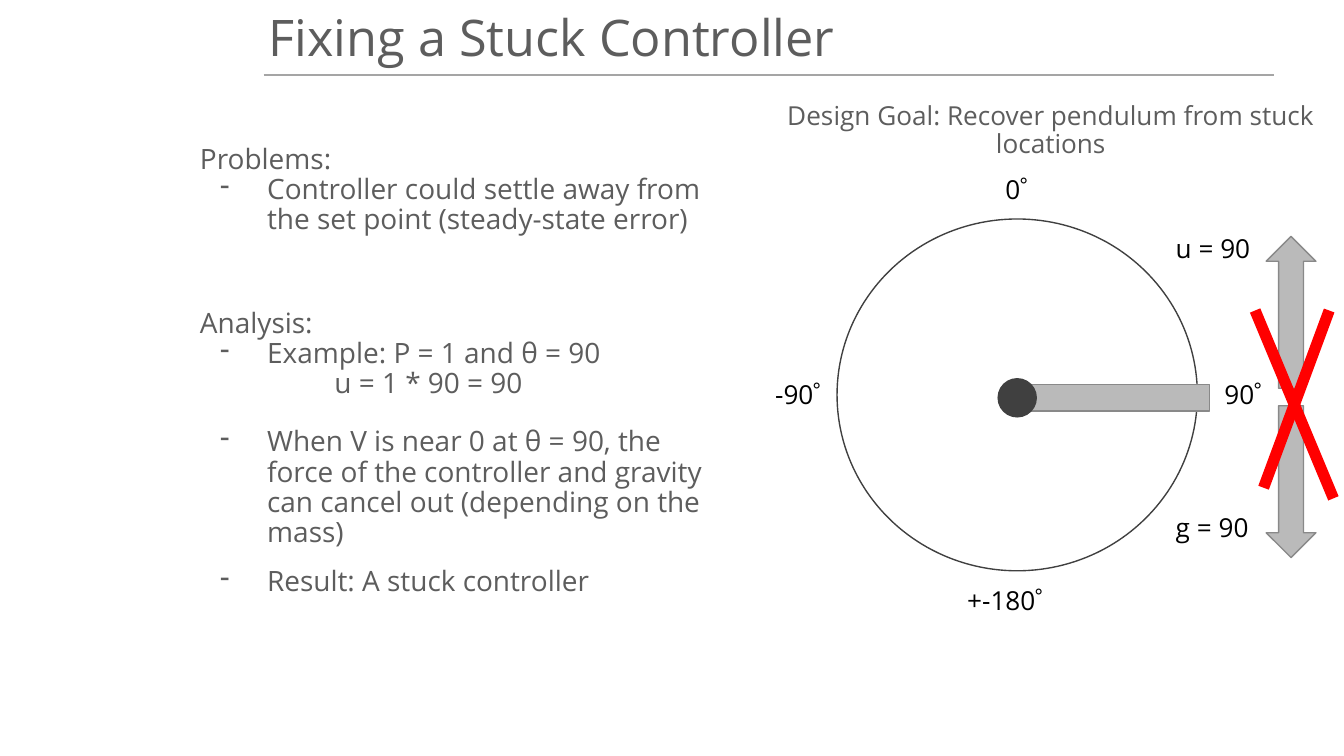
from lxml import etree
from pptx import Presentation
from pptx.dml.color import RGBColor
from pptx.enum import shapes, text
from pptx.oxml import ns
from pptx.util import Cm, Pt

GREY, DARK, BAR, EDGE = "5D5D5D", "404040", "BABABA", "898989"
KIND = shapes.MSO_SHAPE
LABEL_H = 1.12


def paint(color, value):
    """Set a colour format from a hex string."""
    color.rgb = RGBColor.from_string(value)


def style(para, size, color):
    para.font.name = "Open Sans"
    para.font.size = Pt(size)
    paint(para.font.color, color)


def frame(shape, inset):
    body = shape.text_frame
    body.word_wrap = True
    body.auto_size = text.MSO_AUTO_SIZE.NONE
    body.margin_left = body.margin_right = Cm(inset)
    body.margin_top = body.margin_bottom = Cm(inset)
    return body


def add_text(slide, box, inset=0.1):
    return frame(slide.shapes.add_textbox(*map(Cm, box)), inset)


def add_label(slide, x, y, width, words):
    para = add_text(slide, (x, y, width, LABEL_H), 0.25).paragraphs[0]
    para.text = words
    style(para, 14, "000000")


def add_form(slide, kind, box, fill, line):
    form = slide.shapes.add_shape(kind, *map(Cm, box))
    form.shadow.inherit = False
    form.fill.solid()
    paint(form.fill.fore_color, fill)
    paint(form.line.color, line)
    form.line.width = Pt(0.75)


def add_line(slide, ends, color, width):
    line = slide.shapes.add_connector(shapes.MSO_CONNECTOR.STRAIGHT, *map(Cm, ends))
    paint(line.line.color, color)
    line.line.width = Pt(width)
    etree.SubElement(line._element.spPr, ns.qn("a:effectLst"))


def indent(para, first, dash):
    """Indent a paragraph by 1.27 cm, with its first line shifted."""
    props = para._p.get_or_add_pPr()
    props.set("marL", str(Cm(1.27)))
    props.set("indent", str(Cm(first)))
    if dash:
        etree.SubElement(props, ns.qn("a:buChar")).set("char", "-")


def add_title(slide, box, words):
    x, y, width, height = box
    add_line(slide, (x, y + height, x + 19.1, y + height), "A5A5A5", 1)
    title = slide.shapes.title
    title.left, title.top, title.width, title.height = map(Cm, box)
    body = frame(title, 0.1)
    body.vertical_anchor = text.MSO_ANCHOR.MIDDLE
    para = body.paragraphs[0]
    para.text = words
    para.alignment = text.PP_ALIGN.LEFT
    para.line_spacing = 0.9
    style(para, 27, GREY)


def add_notes(slide, box, head, items):
    """Place a heading and its items: (words, space before, dashed)."""
    body = add_text(slide, box)
    body.paragraphs[0].text = head
    for words, gap, dash in items:
        para = body.add_paragraph()
        para.text = words
        indent(para, -0.89 if dash else 1.27, dash)
        para.space_before = Pt(gap)
    for para in body.paragraphs:
        para.line_spacing = 0.9
        style(para, 15, GREY)


def add_goal(slide, box, words):
    para = add_text(slide, box).paragraphs[0]
    para.text = words
    para.alignment = text.PP_ALIGN.CENTER
    para.line_spacing = 0.9
    style(para, 14, GREY)


def add_dial(slide, box):
    x, y, width, height = box
    add_form(slide, KIND.OVAL, box, "FFFFFF", DARK)
    # Angles around the circle
    add_label(slide, x + 2.93, y - LABEL_H, 1.42, "0゜")
    add_label(slide, x + 7.07, y + 2.77, 1.75, "90゜")
    add_label(slide, x - 1.42, y + 2.77, 1.75, "-90゜")
    add_label(slide, x + 2.21, y + height, 2.39, "+-180゜")
    # Pendulum arm and hub
    mid_x, mid_y = x + width / 2, y + 3.38
    add_form(slide, KIND.RECTANGLE, (mid_x, mid_y - 0.25, 3.64, 0.5), BAR, EDGE)
    add_form(slide, KIND.OVAL, (mid_x - 0.36, mid_y - 0.36, 0.72, 0.72), DARK, DARK)


def add_forces(slide, box):
    x, y, width, height = box
    # Opposing arrows with their values
    add_form(slide, KIND.UP_ARROW, (x + 1.96, y + 0.33, 0.94, 2.87), BAR, EDGE)
    add_form(slide, KIND.DOWN_ARROW, (x + 1.96, y + 3.53, 0.94, 2.87), BAR, EDGE)
    add_label(slide, x, y, 1.93, "u = 90")
    add_label(slide, x, y + height - LABEL_H, 1.93, "g = 90")
    # Red cross
    top = y + 1.73
    add_line(slide, (x + 1.75, top, x + width, y + 5.28), "FF0000", 6)
    add_line(slide, (x + 3.15, top, x + 1.91, y + 5.08), "FF0000", 6)


def main():
    deck = Presentation()
    deck.slide_width, deck.slide_height = Cm(25.4), Cm(14.29)
    slide = deck.slides.add_slide(deck.slide_layouts[5])
    add_title(slide, (4.98, 0.08, 19.2, 1.34), "Fixing a Stuck Controller")
    add_notes(slide, (3.68, 2.64, 10.29, 2.49), "Problems:", [
        ("Controller could settle away from the set point (steady-state error)", 0, True),
    ])
    add_notes(slide, (3.68, 5.74, 10.29, 5.92), "Analysis:", [
        ("Example: P = 1 and θ = 90", 0, True),
        ("u = 1 * 90 = 90", 0, False),
        ("When V is near 0 at θ = 90, the force of the controller and gravity "
         "can cancel out (depending on the mass)", 15, True),
        ("Result: A stuck controller", 10, True),
    ])
    add_goal(slide, (14.63, 1.85, 10.46, 1.85),
             "Design Goal: Recover pendulum from stuck locations")
    add_dial(slide, (15.82, 4.14, 6.81, 6.65))
    add_forces(slide, (21.97, 4.14, 3.23, 6.4))
    deck.save("out.pptx")


if __name__ == "__main__":
    main()
